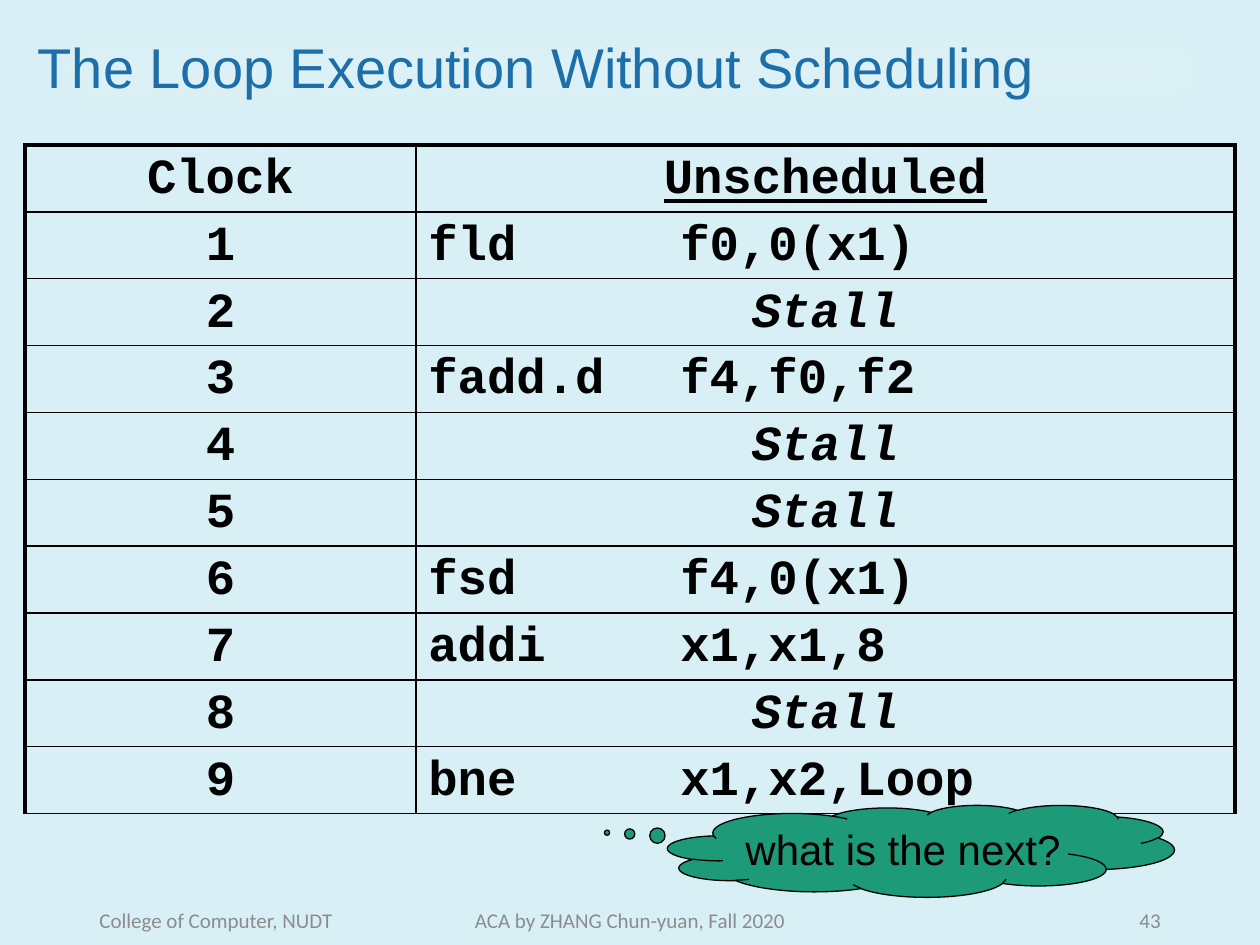
from lxml.etree import SubElement
from pptx import Presentation
from pptx.dml.color import RGBColor
from pptx.enum.shapes import MSO_SHAPE
from pptx.enum.text import MSO_ANCHOR, PP_ALIGN
from pptx.oxml import parse_xml
from pptx.oxml.ns import nsdecls, qn
from pptx.util import Inches, Pt

BACKGROUND = RGBColor(0xD7, 0xEF, 0xF5)
TITLE_BLUE = RGBColor(0x1D, 0x6F, 0xA9)
FOOTER_GRAY = RGBColor(0x8C, 0x8C, 0x8C)
CLOUD_GREEN = RGBColor(0x1D, 0x9A, 0x78)
WHITE = RGBColor(0xFF, 0xFF, 0xFF)
BLACK = RGBColor(0, 0, 0)

STALL = "Stall"
SCHEDULE = [
    ("fld", "f0,0(x1)"), STALL, ("fadd.d", "f4,f0,f2"), STALL, STALL,
    ("fsd", "f4,0(x1)"), ("addi", "x1,x1,8"), STALL, ("bne", "x1,x2,Loop"),
]


def write(frame, text, font="Arial", size=12, color=BLACK, align=PP_ALIGN.LEFT,
          spacing=None, tab=None, bold=False, italic=False, underline=False):
    """Fill a text frame with one formatted paragraph."""
    paragraph = frame.paragraphs[0]
    paragraph.alignment = align
    paragraph.space_before = Pt(0)
    if spacing:
        paragraph.line_spacing = spacing
    if tab:
        tabs = SubElement(paragraph._p.get_or_add_pPr(), qn("a:tabLst"))
        SubElement(tabs, qn("a:tab"), pos=str(tab), algn="l")
    run = paragraph.add_run()
    run.text = text
    run.font.name = font
    run.font.size = Pt(size)
    run.font.color.rgb = color
    run.font.bold, run.font.italic, run.font.underline = bold, italic, underline


class SlideBuilder:
    code_style = dict(font="Courier New", size=28, bold=True, spacing=0.9)
    thin, thick = Pt(1), Pt(2.25)

    def __init__(self, slide):
        self.slide = slide
        slide.background.fill.solid()
        slide.background.fill.fore_color.rgb = BACKGROUND

    def title(self, text, *box):
        heading = self.slide.shapes.title
        heading.left, heading.top, heading.width, heading.height = map(Inches, box)
        heading.text_frame.vertical_anchor = MSO_ANCHOR.MIDDLE
        heading.text_frame.word_wrap = True
        write(heading.text_frame, text, size=32, color=TITLE_BLUE, spacing=0.9)
        # Translucent white band with soft edges
        heading.fill.solid()
        heading.fill.fore_color.rgb = WHITE
        properties = heading._element.spPr
        white = properties.find(qn("a:solidFill")).find(qn("a:srgbClr"))
        SubElement(white, qn("a:alpha"), val="36000")
        effects = SubElement(properties, qn("a:effectLst"))
        SubElement(effects, qn("a:softEdge"), rad=str(Inches(0.35)))

    def borders(self, cell, **widths):
        properties = cell._tc.get_or_add_tcPr()
        for index, side in enumerate("LRTB"):
            width = widths.get(side, self.thin)
            properties.insert(index, parse_xml(
                f'<a:ln{side} {nsdecls("a")} w="{width}"><a:solidFill>'
                f'<a:srgbClr val="{BLACK}"/></a:solidFill></a:ln{side}>'))

    def table(self, rows, column_widths, *box):
        grid = self.slide.shapes.add_table(
            len(rows), len(column_widths), *map(Inches, box)).table
        grid.first_row = grid.horz_banding = False
        for column, width in zip(grid.columns, column_widths):
            column.width = Inches(width)
        for r, row in enumerate(rows):
            for c, (text, style) in enumerate(row):
                cell = grid.cell(r, c)
                cell.fill.background()
                cell.vertical_anchor = MSO_ANCHOR.MIDDLE
                write(cell.text_frame, text, **self.code_style, **style)
                edges = {"L" if c == 0 else "R": self.thick}
                if r == 0:
                    edges["T"] = self.thick
                self.borders(cell, **edges)

    def footer(self, text, align, left, width):
        frame = self.slide.shapes.add_textbox(
            Inches(left), Inches(7.1), Inches(width), Inches(0.4)).text_frame
        frame.word_wrap = True
        frame.vertical_anchor = MSO_ANCHOR.MIDDLE
        write(frame, text, font="Calibri", color=FOOTER_GRAY, align=align)

    def thought(self, text, tail, *box):
        cloud = self.slide.shapes.add_shape(
            MSO_SHAPE.CLOUD_CALLOUT, *map(Inches, box))
        cloud.shadow.inherit = False
        cloud.adjustments[0], cloud.adjustments[1] = tail
        cloud.fill.solid()
        cloud.fill.fore_color.rgb = CLOUD_GREEN
        cloud.line.color.rgb = BLACK
        cloud.line.width = Pt(0.75)
        cloud.text_frame.word_wrap = False
        cloud.text_frame.vertical_anchor = MSO_ANCHOR.MIDDLE
        write(cloud.text_frame, text, size=24, align=PP_ALIGN.CENTER)


def schedule_rows():
    centered = dict(align=PP_ALIGN.CENTER)
    rows = [[("Clock", centered), ("Unscheduled", dict(centered, underline=True))]]
    for clock, step in enumerate(SCHEDULE, start=1):
        if step == STALL:
            action = (STALL, dict(centered, italic=True))
        else:
            action = ("\t".join(step), dict(tab=Inches(2)))
        rows.append([(str(clock), centered), action])
    return rows


def main():
    deck = Presentation()
    deck.slide_width, deck.slide_height = Inches(10), Inches(7.5)
    builder = SlideBuilder(deck.slides.add_slide(deck.slide_layouts[5]))

    # Title and clock-by-clock schedule
    builder.title("The Loop Execution Without Scheduling", 0.2, 0.13, 9.61, 0.86)
    builder.table(schedule_rows(), (3.1, 6.5), 0.2, 1.15, 9.6, 5.31)

    # Footer
    builder.footer("College of Computer, NUDT", PP_ALIGN.LEFT, 0.69, 2.25)
    builder.footer("ACA by ZHANG Chun-yuan, Fall 2020", PP_ALIGN.CENTER, 3.31, 3.38)
    builder.footer("43", PP_ALIGN.RIGHT, 7.06, 2.25)

    # Question to the audience
    builder.thought("what is the next?", (-0.62, -0.2), 5.3, 6.39, 4.02, 0.73)

    deck.save("out.pptx")


if __name__ == "__main__":
    main()
